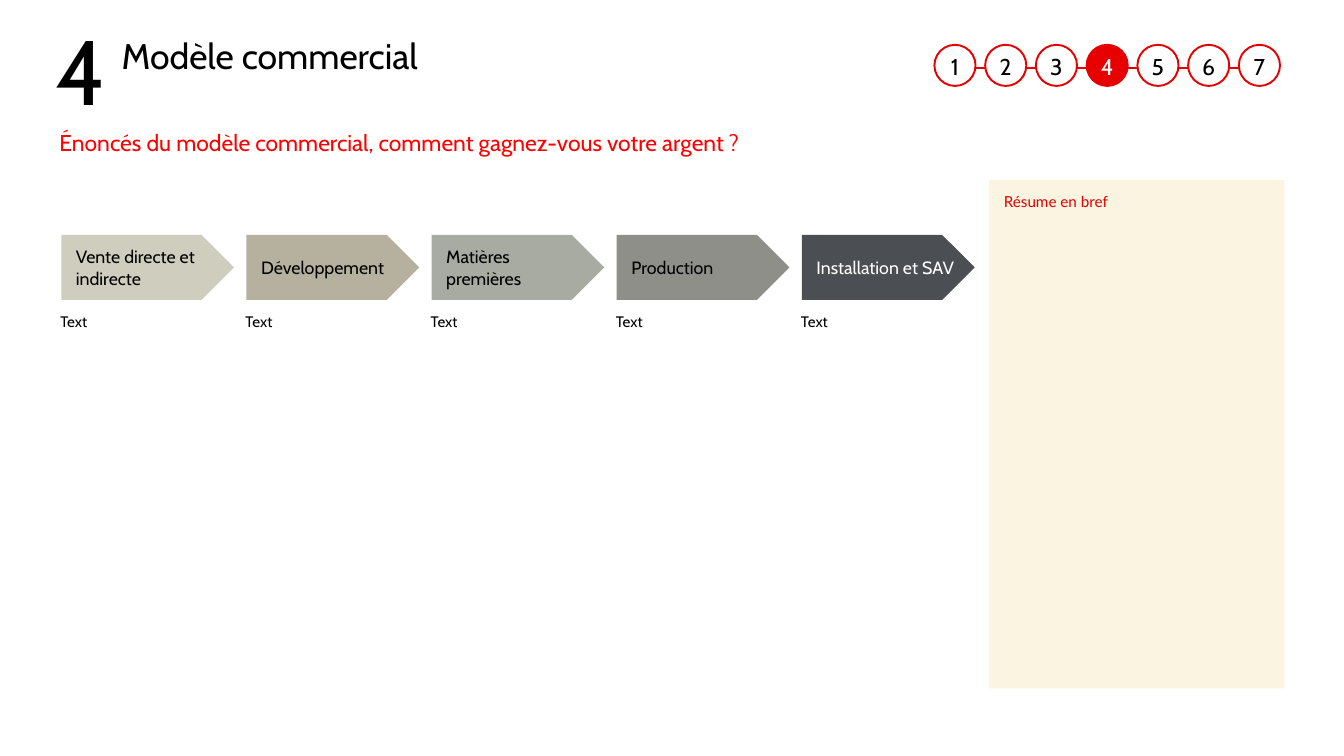
from dataclasses import dataclass

from lxml import etree
from pptx import Presentation
from pptx.dml.color import RGBColor
from pptx.enum.shapes import MSO_CONNECTOR, MSO_SHAPE
from pptx.enum.text import MSO_ANCHOR, MSO_AUTO_SIZE, PP_ALIGN
from pptx.oxml.ns import qn
from pptx.util import Inches, Pt

TOP, MIDDLE, BOTTOM = MSO_ANCHOR.TOP, MSO_ANCHOR.MIDDLE, MSO_ANCHOR.BOTTOM
LEFT, CENTER = PP_ALIGN.LEFT, PP_ALIGN.CENTER
NO_AUTOFIT = MSO_AUTO_SIZE.NONE
STRAIGHT = MSO_CONNECTOR.STRAIGHT
OVAL, RECTANGLE, PENTAGON = MSO_SHAPE.OVAL, MSO_SHAPE.RECTANGLE, MSO_SHAPE.PENTAGON


@dataclass(frozen=True)
class Theme:
    font: str = "Cabin"
    summary_font: str = "Lato"
    black: str = "000000"
    white: str = "FFFFFF"
    accent: str = "E60000"
    subtitle: str = "FF0000"
    panel: str = "FAF4E1"
    chapter_size: int = 72
    title_size: int = 28
    lead_size: int = 18
    step_size: int = 14
    body_size: int = 12
    line_width: float = 1.5


THEME = Theme()
CHAPTER, CHAPTER_COUNT = 4, 7
# Label, fill and text colour of each step
STEPS = [
    ("Vente directe et indirecte", "CFCDBE", THEME.black),
    ("Développement", "B6B19F", THEME.black),
    ("Matières premières", "A8ABA1", THEME.black),
    ("Production", "8F8F8A", THEME.black),
    ("Installation et SAV", "4B4F53", THEME.white),
]


def rgb(color):
    return RGBColor.from_string(color)


def place(shape, left, top, width, height):
    shape.left, shape.top = Inches(left), Inches(top)
    shape.width, shape.height = Inches(width), Inches(height)


def write(shape, text, size, color=THEME.black, font=THEME.font, align=LEFT,
          anchor=TOP, insets=(0, 0, 0, 0), spacing=1.0, wrap=True):
    """Put one formatted paragraph in a shape; insets are left, top, right, bottom."""
    frame = shape.text_frame
    frame.text = text
    frame.auto_size = NO_AUTOFIT
    frame.word_wrap = wrap
    frame.vertical_anchor = anchor
    frame.margin_left, frame.margin_top, frame.margin_right, frame.margin_bottom = (
        Inches(inset) for inset in insets)
    para = frame.paragraphs[0]
    para.alignment = align
    para.line_spacing = spacing
    for span in para.runs:
        span.font.name = font
        span.font.size = Pt(size)
        span.font.color.rgb = rgb(color)


def add_text(page, area, text, size, **style):
    box = page.shapes.add_textbox(*(Inches(length) for length in area))
    write(box, text, size, **style)


def add_block(page, kind, area, fill, outline=None):
    block = page.shapes.add_shape(kind, *(Inches(length) for length in area))
    block.shadow.inherit = False
    block.fill.solid()
    block.fill.fore_color.rgb = rgb(fill)
    if outline:
        block.line.color.rgb = rgb(outline)
        block.line.width = Pt(THEME.line_width)
    else:
        block.line.fill.background()
    return block


def add_line(page, start, end, top):
    line = page.shapes.add_connector(
        STRAIGHT, Inches(start), Inches(top), Inches(end), Inches(top))
    line.line.color.rgb = rgb(THEME.accent)
    line.line.width = Pt(THEME.line_width)
    properties = line.element.find(qn("p:spPr"))
    etree.SubElement(properties, qn("a:effectLst"))


def add_progress(page):
    left, top, diameter, pitch = 10.22, 0.49, 0.45, 0.555
    add_line(page, 10.45, 13.73, 0.74)
    for number in range(1, CHAPTER_COUNT + 1):
        current = number == CHAPTER
        area = (left + (number - 1) * pitch, top, diameter, diameter)
        circle = add_block(page, OVAL, area,
                           THEME.accent if current else THEME.white, THEME.accent)
        write(circle, str(number), THEME.lead_size,
              color=THEME.white if current else THEME.black,
              align=CENTER, anchor=MIDDLE, insets=(0, 0.03, 0, 0), wrap=False)


def add_steps(page):
    pitch = 2.025
    for index, (label, fill, color) in enumerate(STEPS):
        offset = index * pitch
        arrow = add_block(page, PENTAGON, (0.67 + offset, 2.57, 1.89, 0.71), fill)
        write(arrow, label, THEME.step_size, color=color,
              anchor=MIDDLE, insets=(0.16, 0, 0, 0))
        add_text(page, (0.66 + offset, 3.42, 1.91, 3.82), "Text", THEME.body_size)


def main():
    deck = Presentation()
    deck.slide_width, deck.slide_height = Inches(14.7), Inches(8.27)
    page = deck.slides.add_slide(deck.slide_layouts[5])

    # Header
    add_text(page, (0.61, 0.13, 0.72, 1.23), str(CHAPTER), THEME.chapter_size,
             anchor=BOTTOM, spacing=Pt(28))
    title = page.shapes.title
    place(title, 1.33, 0.42, 8.61, 0.53)
    write(title, "Modèle commercial", THEME.title_size, spacing=0.9)
    add_progress(page)
    add_text(page, (0.65, 1.44, 13.39, 0.35),
             "Énoncés du modèle commercial, comment gagnez-vous votre argent ?",
             THEME.lead_size, color=THEME.subtitle, spacing=0.9)

    # Summary panel
    panel = add_block(page, RECTANGLE, (10.82, 1.97, 3.23, 5.56), THEME.panel)
    write(panel, "Résume en bref", THEME.body_size, color=THEME.accent,
          font=THEME.summary_font, insets=(0.16,) * 4, spacing=0.9)

    # Value chain
    add_steps(page)
    deck.save("out.pptx")


if __name__ == "__main__":
    main()
